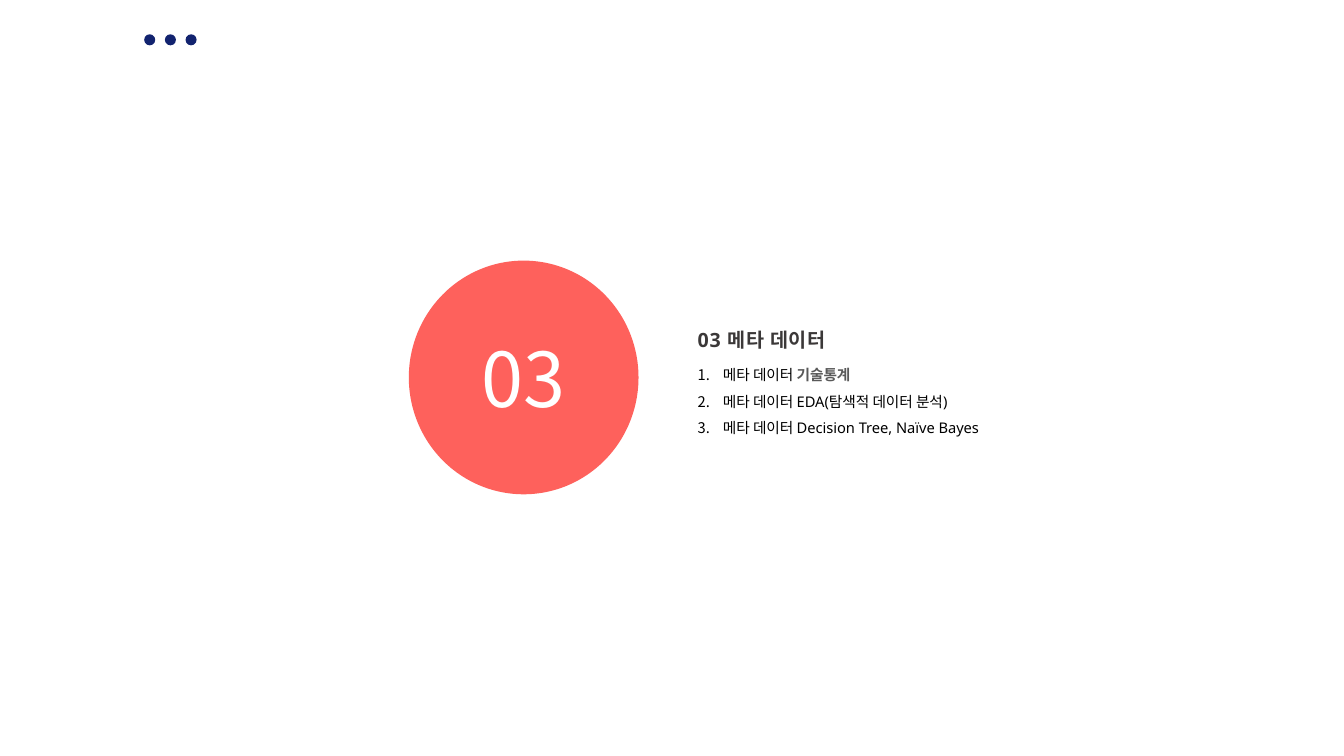
import pptx
import pptx.dml.color
import pptx.enum.shapes
import pptx.enum.text
import pptx.oxml
import pptx.oxml.ns
import pptx.util

W, H = 13.33, 7.5
LATIN, KOREAN = "Noto Sans", "Noto Sans CJK KR"
CORAL, NAVY, CHARCOAL = "FE615C", "12236F", "3B3838"
GREY, BLACK, WHITE = "595959", "000000", "FFFFFF"
ALIGN = pptx.enum.text.PP_ALIGN
ANCHOR = pptx.enum.text.MSO_ANCHOR
TOPICS = [
    ("메타 데이터 ", "기술통계"),
    ("메타 데이터 EDA(탐색적 데이터 분석)", ""),
    ("메타 데이터 Decision Tree, Naïve Bayes", ""),
]


def inches(*values):
    return [pptx.util.Inches(v) for v in values]


def color(hex_code):
    return pptx.dml.color.RGBColor.from_string(hex_code)


def set_font(font, name, size, hex_code, bold=False):
    font.name = name
    font.size = pptx.util.Pt(size)
    font.color.rgb = color(hex_code)
    font.bold = bold


def add_circle(shapes, box, fill):
    sp = shapes.add_shape(pptx.enum.shapes.MSO_SHAPE.OVAL, *inches(*box))
    sp.shadow.inherit = False
    sp.fill.solid()
    sp.fill.fore_color.rgb = color(fill)
    sp.line.fill.background()
    return sp


def place_text(sp, box):
    """Move a placeholder into the box and return its text frame."""
    sp.left, sp.top, sp.width, sp.height = inches(*box)
    tf = sp.text_frame
    tf.word_wrap = True
    tf.auto_size = pptx.enum.text.MSO_AUTO_SIZE.SHAPE_TO_FIT_TEXT
    tf.vertical_anchor = ANCHOR.TOP
    return tf


def format_line(p):
    p.alignment = ALIGN.LEFT
    p.line_spacing = 1.5
    p.space_before = pptx.util.Pt(0)


def number_line(p, indent):
    """Number the paragraph with a hanging indent."""
    pPr = p._p.get_or_add_pPr()
    pPr.set("marL", str(pptx.util.Inches(indent)))
    pPr.set("indent", str(-pptx.util.Inches(indent)))
    bullet = pptx.oxml.parse_xml(
        "<a:buAutoNum %s type='arabicPeriod'/>" % pptx.oxml.ns.nsdecls("a"))
    pPr.find(pptx.oxml.ns.qn("a:defRPr")).addprevious(bullet)


def draw_dots(slide, box, count=3):
    """Equal dots spread across the box, one box height wide."""
    left, top, width, size = box
    step = (width - size) / (count - 1)
    dots = slide.shapes.add_group_shape()
    for i in range(count):
        add_circle(dots.shapes, (left + i * step, top, size, size), NAVY)


def draw_badge(slide, box, number):
    sp = add_circle(slide.shapes, box, CORAL)
    sp.line.color.rgb = color(CORAL)
    sp.line.width = pptx.util.Pt(3.5)
    tf = sp.text_frame
    tf.vertical_anchor = ANCHOR.MIDDLE
    p = tf.paragraphs[0]
    p.text = number
    p.alignment = ALIGN.CENTER
    set_font(p.font, KOREAN, 54, WHITE)


def draw_contents(slide, box, heading, topics):
    """Heading over a numbered list."""
    left, top, width, height = box
    heading_height = 0.31 * height

    # Heading
    tf = place_text(slide.shapes.title, (left, top, 0.58 * width, 0.45))
    p = tf.paragraphs[0]
    p.text = heading
    format_line(p)
    set_font(p.font, LATIN, 14, CHARCOAL, bold=True)
    p._p.pPr.find(pptx.oxml.ns.qn("a:defRPr")).set("spc", "50")

    # Numbered topics
    list_box = (left, top + heading_height, width, height - heading_height)
    tf = place_text(slide.placeholders[1], list_box)
    for i, (text, emphasis) in enumerate(topics):
        p = tf.add_paragraph() if i else tf.paragraphs[0]
        format_line(p)
        set_font(p.font, LATIN, 10.5, BLACK)
        number_line(p, 0.25)
        p.add_run().text = text
        if emphasis:
            r = p.add_run()
            r.text = emphasis
            set_font(r.font, KOREAN, 10.5, GREY, bold=True)


def main():
    prs = pptx.Presentation()
    prs.slide_width, prs.slide_height = inches(W, H)
    slide = prs.slides.add_slide(prs.slide_layouts[1])
    for sp in list(slide.placeholders):
        if sp.placeholder_format.idx > 1:
            sp.element.getparent().remove(sp.element)

    draw_badge(slide, (0.306 * W, 0.348 * H, 2.23, 2.27), "03")
    draw_dots(slide, (1.43, 0.34, 0.52, 0.11))
    draw_contents(slide, (6.82, 3.09, 4.41, 1.31), "03 메타 데이터", TOPICS)
    prs.save("out.pptx")


if __name__ == "__main__":
    main()
